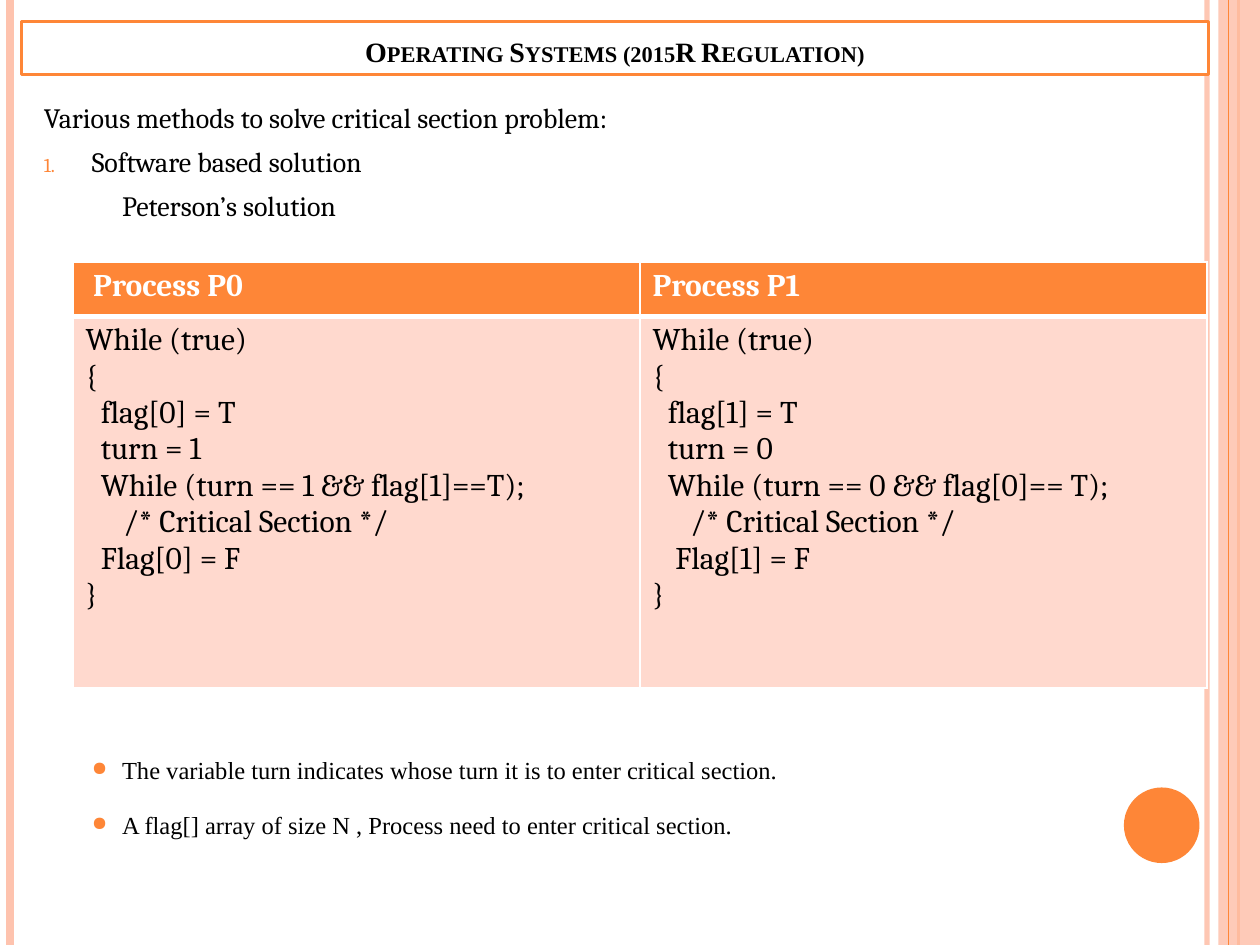
from lxml.etree import SubElement
from pptx import Presentation
from pptx.dml.color import RGBColor
from pptx.enum.shapes import MSO_CONNECTOR, MSO_SHAPE
from pptx.enum.text import MSO_ANCHOR, PP_ALIGN
from pptx.oxml.ns import qn
from pptx.util import Inches, Pt

COLORS = {"orange": "FE8637", "peach": "FEC3AE", "pale": "FFD9CE",
          "white": "FFFFFF", "black": "000000"}
SERIF, ROMAN = "Cambria", "Times New Roman"
SLIDE_W, SLIDE_H = 10, 7.5

TITLE = "Operating Systems (2015R Regulation)"
# text, left margin, first-line indent, bullet
METHODS = [
    ("Various methods to solve critical section problem:", 0, 0, None),
    ("Software based solution", 0.38, -0.38, "number"),
    ("Peterson’s solution", 0.62, 0, None),
]
NOTES = [
    "The variable turn indicates whose turn it is to enter critical section.",
    "A flag[] array of size N , Process need to enter critical section.",
]
# Each code line: depth in steps, text
PROCESSES = [
    ((1, "Process P0"), [
        (0, "While (true)"), (0, "{"), (2, "flag[0] = T"), (2, "turn = 1"),
        (2, "While (turn == 1 && flag[1]==T);"),
        (5, "/* Critical Section */"), (2, "Flag[0] = F"), (0, "}")]),
    ((0, "Process P1"), [
        (0, "While (true)"), (0, "{"), (2, "flag[1] = T"), (2, "turn = 0"),
        (2, "While (turn == 0 && flag[0]== T);"),
        (5, "/* Critical Section */"), (3, "Flag[1] = F"), (0, "}")]),
]
CODE_STEP = 0.06
ROW_HEIGHTS = (0.43, 2.95)
# x, colour, width in points, opacity in percent
RULES_BEHIND = [(9.58, "peach", 3, 93), (0.08, "peach", 4.5, 100),
                (9.83, "orange", 1.5, 100)]
RULE_FRONT = (9.75, "orange", 0.75, 100)


def rgb(name):
    return RGBColor.from_string(COLORS[name])


def set_opacity(color_parent, percent):
    color = next(color_parent.iter(qn("a:srgbClr")))
    SubElement(color, qn("a:alpha"), val=str(percent * 1000))


def add_rule(slide, x, color, width, opacity):
    rule = slide.shapes.add_connector(
        MSO_CONNECTOR.STRAIGHT, Inches(x), 0, Inches(x), Inches(SLIDE_H))
    rule.line.color.rgb = rgb(color)
    rule.line.width = Pt(width)
    if opacity < 100:
        set_opacity(rule.line._ln, opacity)
    SubElement(rule._element.spPr, qn("a:effectLst"))


def add_panel(slide, kind, box, fill, line=None):
    panel = slide.shapes.add_shape(kind, *map(Inches, box))
    panel.shadow.inherit = False
    panel.fill.solid()
    panel.fill.fore_color.rgb = rgb(fill)
    if line:
        panel.line.color.rgb = rgb(line)
        panel.line.width = Pt(2)
    else:
        panel.line.fill.background()
    return panel


def add_text_area(slide, box):
    area = slide.shapes.add_textbox(*map(Inches, box))
    area.text_frame.word_wrap = True
    return area.text_frame


def write(frame, text, size=16, font=SERIF, color="black", bold=False,
          small_caps=False, align=PP_ALIGN.LEFT, left=0, indent=0,
          before=0, spacing=None, bullet=None):
    """Add a paragraph, using the first one if it is still empty."""
    paragraph = frame.paragraphs[0]
    if paragraph.runs:
        paragraph = frame.add_paragraph()
    paragraph.alignment = align
    paragraph.space_before = Pt(before)
    if spacing:
        paragraph.line_spacing = spacing
    props = paragraph._p.get_or_add_pPr()
    props.set("marL", str(Inches(left)))
    props.set("indent", str(Inches(indent)))
    if bullet:
        tint = SubElement(props, qn("a:buClr"))
        SubElement(tint, qn("a:srgbClr"), val=COLORS["orange"])
        scale = "70000" if bullet == "number" else "80000"
        SubElement(props, qn("a:buSzPct"), val=scale)
        if bullet == "number":
            SubElement(props, qn("a:buAutoNum"), type="arabicPeriod")
        else:
            SubElement(props, qn("a:buChar"), char=bullet)
    run = paragraph.add_run()
    run.text = text
    run.font.size, run.font.name, run.font.bold = Pt(size), font, bold
    run.font.color.rgb = rgb(color)
    if small_caps:
        run.font._element.set("cap", "small")


def style_cell(cell, fill, bottom):
    props = cell._tc.get_or_add_tcPr()
    for side, width in (("L", 1), ("R", 1), ("T", 1), ("B", bottom)):
        border = SubElement(props, qn(f"a:ln{side}"), w=str(Pt(width)))
        paint = SubElement(border, qn("a:solidFill"))
        SubElement(paint, qn("a:srgbClr"), val=COLORS["white"])
    cell.fill.solid()
    cell.fill.fore_color.rgb = rgb(fill)


def add_process_table(slide):
    table = slide.shapes.add_table(
        2, len(PROCESSES), Inches(0.58), Inches(2.08),
        Inches(9), Inches(sum(ROW_HEIGHTS))).table
    for row, height in zip(table.rows, ROW_HEIGHTS):
        row.height = Inches(height)
    for column, ((depth, heading), code) in enumerate(PROCESSES):
        header, body = table.cell(0, column), table.cell(1, column)
        style_cell(header, "orange", 3)
        style_cell(body, "pale", 1)
        write(header.text_frame, heading, size=18, color="white", bold=True,
              left=depth * CODE_STEP)
        for depth, line in code:
            write(body.text_frame, line, size=18, left=depth * CODE_STEP)


def main():
    deck = Presentation()
    deck.slide_width, deck.slide_height = Inches(SLIDE_W), Inches(SLIDE_H)
    slide = deck.slides.add_slide(deck.slide_layouts[6])

    for rule in RULES_BEHIND:
        add_rule(slide, *rule)
    band = add_panel(slide, MSO_SHAPE.RECTANGLE, (9.67, 0, 0.33, SLIDE_H), "peach")
    set_opacity(band._element.spPr, 87)
    add_rule(slide, *RULE_FRONT)
    add_panel(slide, MSO_SHAPE.OVAL, (8.92, 6.25, 0.6, 0.6), "orange")

    methods = add_text_area(slide, (0.25, 0.75, 9.25, 1.2))
    for text, left, indent, bullet in METHODS:
        write(methods, text, left=left, indent=indent, before=6, bullet=bullet)

    notes = add_text_area(slide, (0.25, 5.78, 9.25, 0.9))
    for text in NOTES:
        write(notes, text, size=14, font=ROMAN, align=PP_ALIGN.JUSTIFY,
              left=0.62, indent=-0.24, before=3, spacing=1.7, bullet="●")

    banner = add_panel(slide, MSO_SHAPE.RECTANGLE, (0.17, 0.17, 9.42, 0.42),
                       "white", "orange")
    banner.text_frame.vertical_anchor = MSO_ANCHOR.BOTTOM
    write(banner.text_frame, TITLE, font=ROMAN, bold=True, small_caps=True,
          align=PP_ALIGN.CENTER)

    add_process_table(slide)
    deck.save("out.pptx")


if __name__ == "__main__":
    main()
